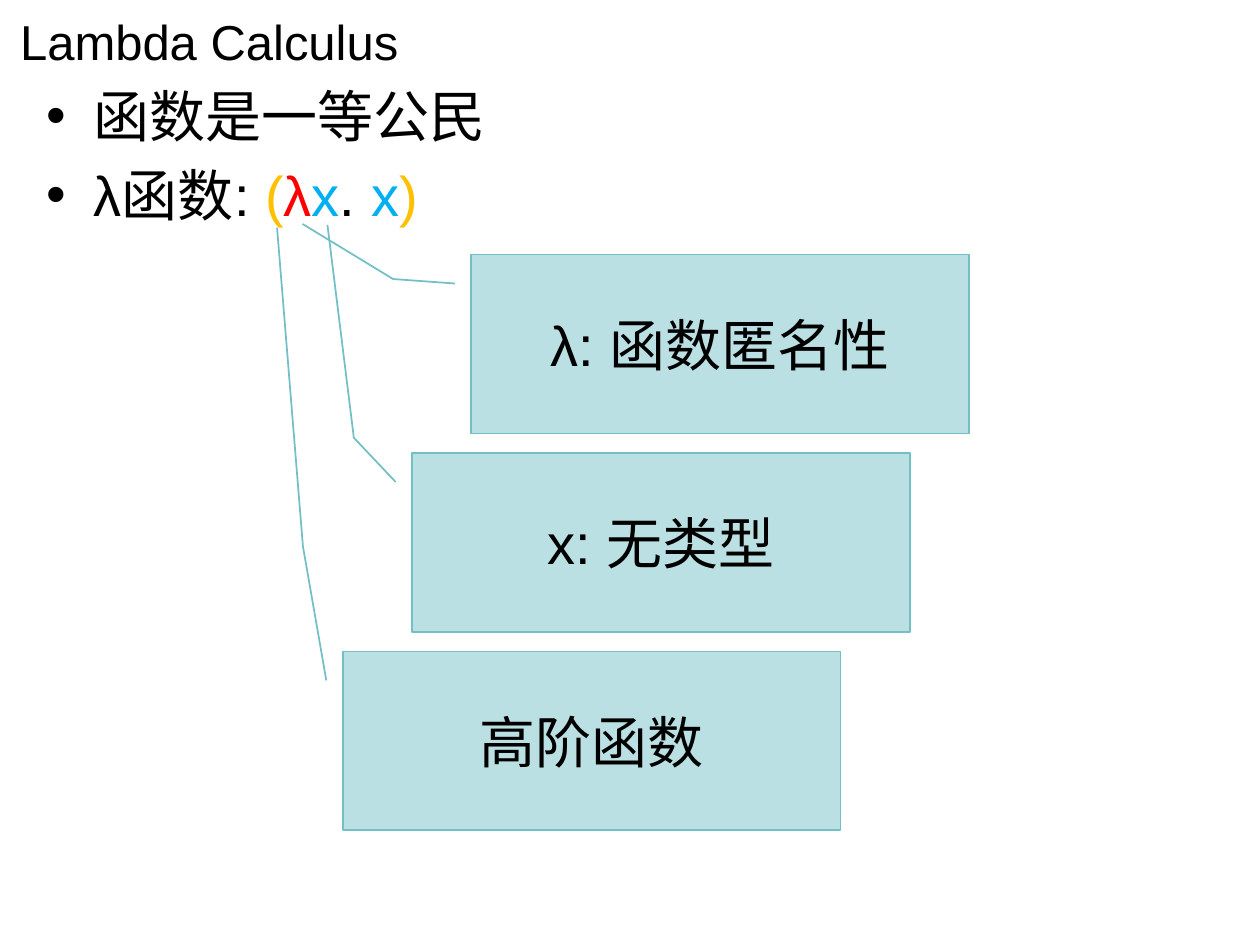
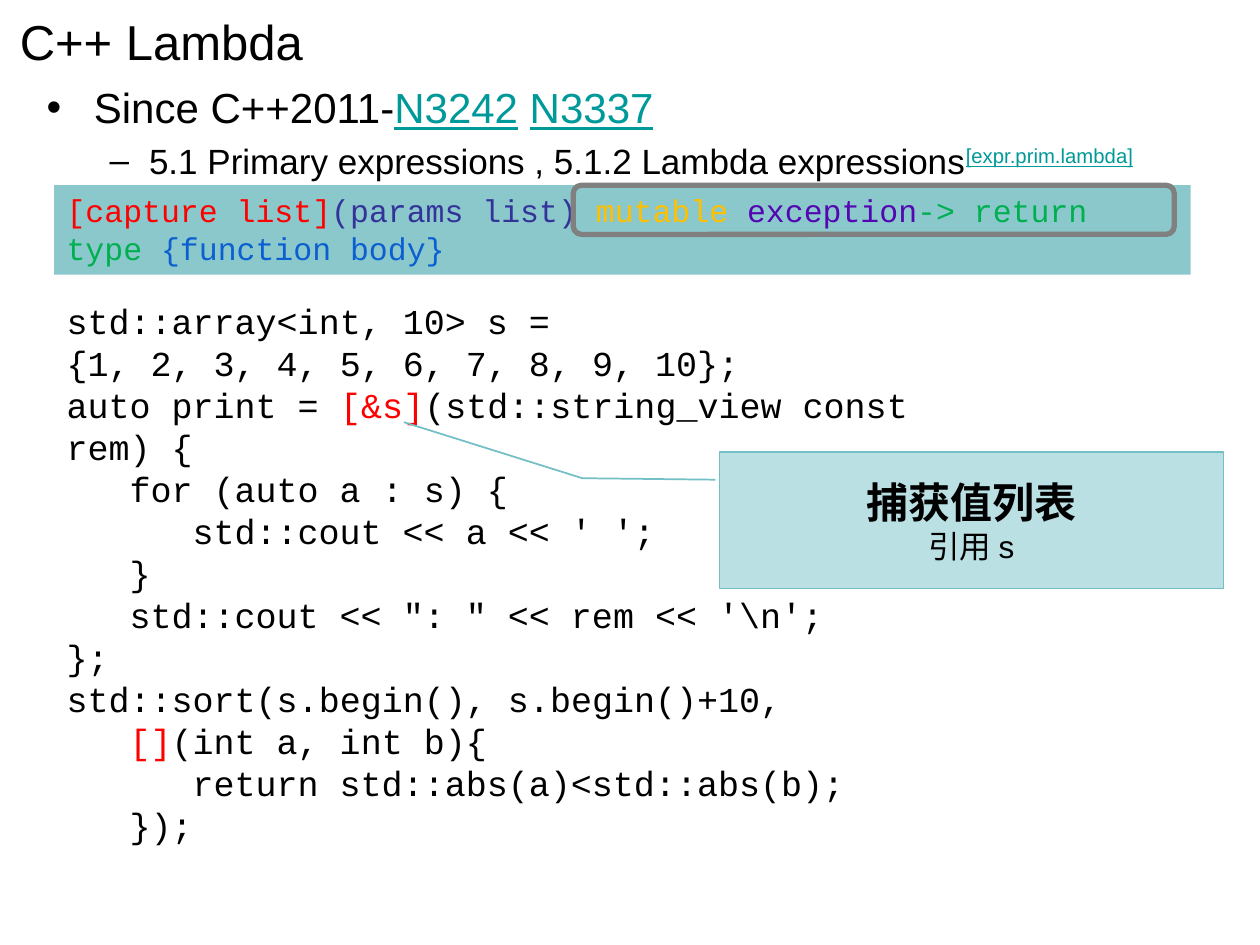
from pptx import Presentation
from pptx.dml.color import RGBColor
from pptx.enum.shapes import MSO_SHAPE
from pptx.enum.text import MSO_ANCHOR, MSO_AUTO_SIZE, PP_ALIGN
from pptx.util import Inches, Pt

COLORS = {
    "black": "000000", "red": "FF0000", "amber": "FFC000", "sky": "00B0F0",
    "link": "009999", "pale": "BBE0E3", "edge": "72BFC5", "band": "8AC8CB",
    "navy": "333399", "violet": "5307B2", "green": "00B050", "blue": "0B5FD1",
    "gray": "808080",
}
SANS, MONO = "Arial", "Courier New"
INDENT = 0.5

SYNTAX = [
    ("[capture list]", "red"), ("(params list) ", "navy"), ("mutable ", "amber"),
    ("exception", "violet"), ("-> return type ", "green"), ("{function body}", "blue"),
]
CODE = [
    (0, ["std::array<int, 10> s ="]),
    (0, ["{1, 2, 3, 4, 5, 6, 7, 8, 9, 10};"]),
    (0, ["auto print = ", ("[&s]", "red"), "(std::string_view const rem) {"]),
    (1, ["for (auto a : s) {"]),
    (2, ["std::cout << a << ' ';"]),
    (1, ["}"]),
    (1, ["std::cout << \": \" << rem << '\\n';"]),
    (0, ["};"]),
    (0, ["std::sort(s.begin(), s.begin()+10,"]),
    (1, [("[]", "red"), "(int a, int b){"]),
    (2, ["return std::abs(a)<std::abs(b);"]),
    (1, ["});"]),
]
CALLOUTS = [
    (3.74, "λ: 函数匿名性", (0.162, -0.033, 0.137, -0.157, -0.171, -0.339)),
    (3.27, "x: 无类型", (0.162, -0.033, -0.085, -0.117, -1.275, -0.17)),
    (2.72, "高阶函数", (0.162, -0.033, -0.587, -0.08, -2.368, -0.132)),
]


def color(name):
    """Return the named colour."""
    return RGBColor.from_string(COLORS[name])


def write_spans(para, spans, size, font=SANS, bold=False):
    """Fill a paragraph with plain strings or (text, colour) pairs."""
    for item in spans:
        text, shade = (item, "black") if isinstance(item, str) else item
        span = para.add_run()
        span.text = text
        span.font.size = Pt(size)
        span.font.name = font
        span.font.bold = bold
        span.font.underline = shade == "link"
        span.font.color.rgb = color(shade)


def next_paragraph(frame, index):
    """Return the first paragraph, or add another one."""
    return frame.add_paragraph() if index else frame.paragraphs[0]


def place(box, left, top, width, height):
    """Move and size a box, in inches."""
    box.left, box.top = Inches(left), Inches(top)
    box.width, box.height = Inches(width), Inches(height)


def add_page(deck, title, title_width, items):
    """Add a slide with its title and bullets of (level, size, spans)."""
    page = deck.slides.add_slide(deck.slide_layouts[1])
    heading, body = page.placeholders
    place(heading, -0.12, 0.05, title_width, 0.55)
    heading.text_frame.vertical_anchor = MSO_ANCHOR.MIDDLE
    heading.text_frame.auto_size = MSO_AUTO_SIZE.NONE
    heading.text_frame.paragraphs[0].alignment = PP_ALIGN.CENTER
    write_spans(heading.text_frame.paragraphs[0], [title], 28)
    place(body, 0.27, 0.6, 9, 4.95)
    body.text_frame.auto_size = MSO_AUTO_SIZE.NONE
    for index, (level, size, spans) in enumerate(items):
        para = next_paragraph(body.text_frame, index)
        para.level = level
        write_spans(para, spans, size)
    return page


def add_box(page, kind, bounds, fill=None, line=None, line_width=1):
    """Add a flat preset shape with an optional fill and outline."""
    box = page.shapes.add_shape(kind, *map(Inches, bounds))
    box.shadow.inherit = False
    if fill:
        box.fill.solid()
        box.fill.fore_color.rgb = color(fill)
    else:
        box.fill.background()
    if line:
        box.line.color.rgb = color(line)
        box.line.width = Pt(line_width)
    else:
        box.line.fill.background()
    return box


def add_callout(page, bounds, leader, lines):
    """Add a callout with a bent leader and (text, size, bold) lines."""
    box = add_box(page, MSO_SHAPE.LINE_CALLOUT_2, bounds, "pale", "edge")
    for index, value in enumerate(leader):
        box.adjustments[index] = value
    box.text_frame.vertical_anchor = MSO_ANCHOR.MIDDLE
    for index, (text, size, bold) in enumerate(lines):
        para = next_paragraph(box.text_frame, index)
        para.alignment = PP_ALIGN.CENTER
        write_spans(para, [text], size, bold=bold)


def add_syntax(page):
    """Add the syntax band and the frame round its optional parts."""
    band = add_box(page, MSO_SHAPE.RECTANGLE, (0.43, 1.47, 9.02, 0.71), "band")
    band.text_frame.vertical_anchor = MSO_ANCHOR.TOP
    band.text_frame.auto_size = MSO_AUTO_SIZE.SHAPE_TO_FIT_TEXT
    band.text_frame.paragraphs[0].alignment = PP_ALIGN.LEFT
    write_spans(band.text_frame.paragraphs[0], SYNTAX, 18, MONO)
    add_box(page, MSO_SHAPE.ROUNDED_RECTANGLE, (4.55, 1.47, 4.77, 0.39),
            line="gray", line_width=3)


def add_code(page):
    """Add the code listing, indented by depth."""
    box = page.shapes.add_textbox(*map(Inches, (0.43, 2.33, 7.53, 4.48)))
    box.text_frame.word_wrap = True
    box.text_frame.auto_size = MSO_AUTO_SIZE.SHAPE_TO_FIT_TEXT
    for index, (depth, spans) in enumerate(CODE):
        para = next_paragraph(box.text_frame, index)
        para.level = max(depth - 1, 0)
        properties = para._p.get_or_add_pPr()
        properties.set("marL", str(Inches(INDENT * para.level)))
        properties.set("indent", str(Inches(INDENT if depth else 0)))
        write_spans(para, spans, 20, MONO)


def add_calculus_page(deck):
    """Add the slide on lambda calculus."""
    formula = ["λ函数: ", ("(", "amber"), ("λ", "red"), ("x", "sky"), ". ",
               ("x", "sky"), (")", "amber")]
    page = add_page(deck, "Lambda Calculus", 3.56,
                    [(0, 32, ["函数是一等公民"]), (0, 32, formula)])
    for row, (left, text, leader) in enumerate(CALLOUTS):
        add_callout(page, (left, 2.02 + 1.575 * row, 3.95, 1.42), leader,
                    [(text, 32, False)])


def add_lambda_page(deck):
    """Add the slide on C++ lambdas."""
    since = ["Since C++2011-", ("N3242", "link"), " ", ("N3337", "link")]
    clause = ["5.1 Primary expressions , 5.1.2 Lambda expressions",
              ("[expr.prim.lambda]", "link")]
    page = add_page(deck, "C++ Lambda", 2.8, [(0, 24, since), (1, 20, clause)])
    reference = page.placeholders[1].text_frame.paragraphs[1].runs[-1]
    reference.font._element.set("baseline", "30000")
    add_syntax(page)
    add_code(page)
    add_callout(page, (5.71, 3.59, 4, 1.08),
                (0.201, -0.008, 0.19, -0.272, -0.222, -0.626),
                [("捕获值列表", 24, True), ("引用 s", 18, False)])


def main():
    """Build and save the deck."""
    deck = Presentation()
    deck.slide_width, deck.slide_height = Inches(10), Inches(7.5)
    add_calculus_page(deck)
    add_lambda_page(deck)
    deck.save("out.pptx")


if __name__ == "__main__":
    main()
